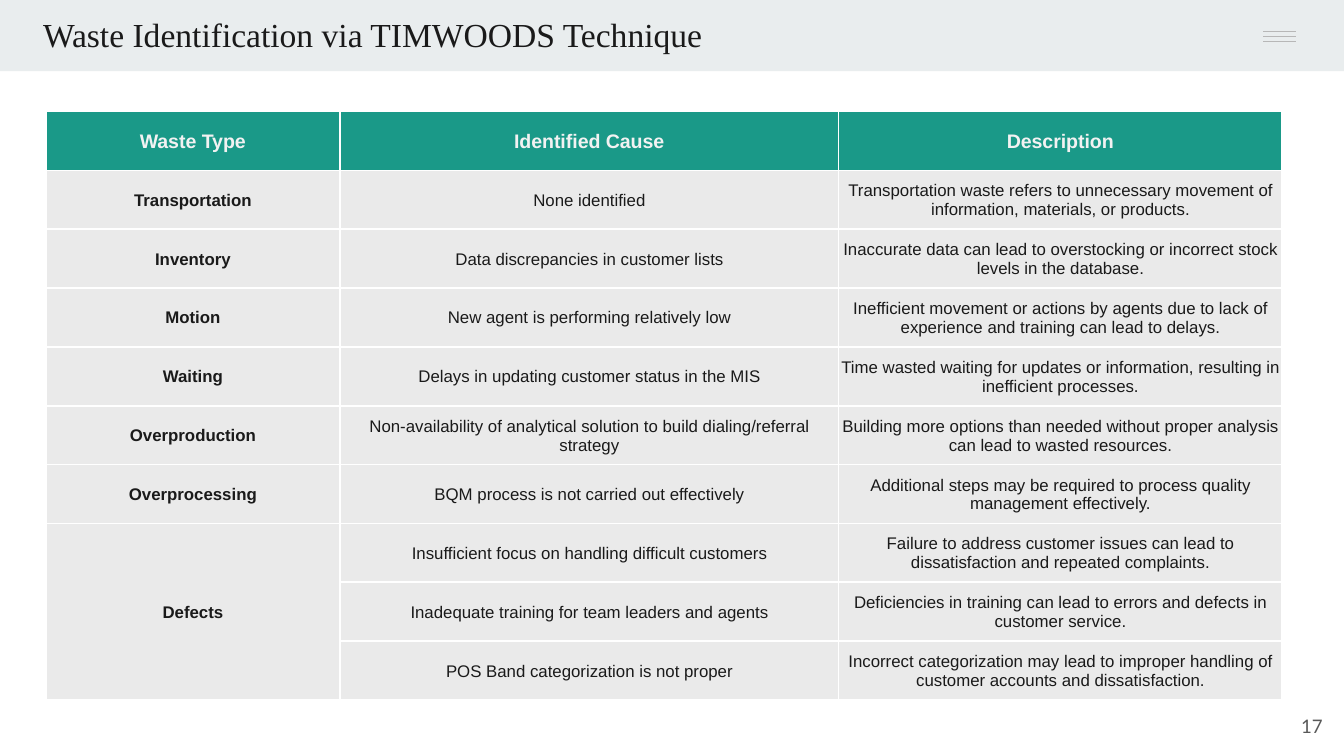
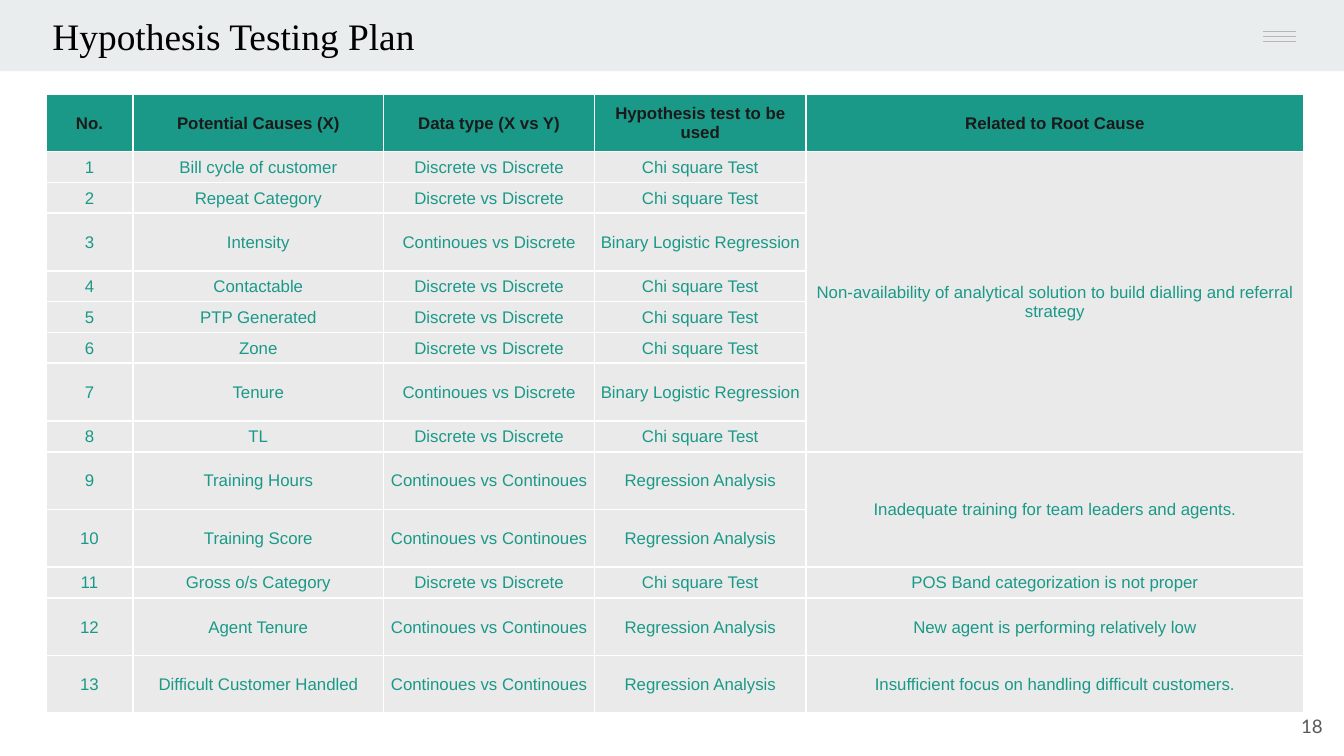
import dataclasses

import pptx
import pptx.dml.color
import pptx.enum.shapes
import pptx.enum.text
import pptx.oxml
import pptx.oxml.ns
import pptx.util
from lxml import etree

ALIGN = pptx.enum.text.PP_ALIGN
ANCHOR = pptx.enum.text.MSO_ANCHOR


@dataclasses.dataclass(frozen=True)
class Theme:
    teal: str = "1A9988"
    band: str = "E9EDEE"
    rule: str = "B7B7B7"
    cell: str = "EAEAEA"
    ink: str = "1A1A1A"
    black: str = "000000"
    pale: str = "F2F2F2"
    grey: str = "595959"
    white: str = "FFFFFF"
    serif: str = "Times New Roman"
    sans: str = "Arial"
    number: str = "Lato"
    small: float = 9
    page: float = 10
    head: float = 10.5


THEME = Theme()

# The grid: 100 columns by 56.25 rows of a tenth of an inch
COLS, ROWS = 100, 56.25


def unit(count):
    return pptx.util.Inches(count / 10)


def units(*counts):
    return [unit(count) for count in counts]


def color(code):
    return pptx.dml.color.RGBColor.from_string(code)


def write(frame, text, font, size, ink, bold=False, align=ALIGN.LEFT):
    para = frame.paragraphs[0]
    para.alignment = align
    run = para.add_run()
    run.text = text
    run.font.name = font
    run.font.size = pptx.util.Pt(size)
    run.font.bold = bold
    run.font.color.rgb = color(ink)


def setup(frame, anchor, left=1):
    frame.word_wrap = True
    frame.auto_size = pptx.enum.text.MSO_AUTO_SIZE.NONE
    frame.vertical_anchor = anchor
    frame.margin_left = unit(left)
    frame.margin_top = frame.margin_right = frame.margin_bottom = unit(1)


# Parts that every slide shares
def band(slide, width, height, left=0):
    shape = slide.shapes.add_shape(
        pptx.enum.shapes.MSO_SHAPE.RECTANGLE, *units(left, 0, width, height))
    shape.shadow.inherit = False
    shape.fill.solid()
    shape.fill.fore_color.rgb = color(THEME.band)
    shape.line.fill.background()


def rule(slide, left, right, top):
    line = slide.shapes.add_connector(
        pptx.enum.shapes.MSO_CONNECTOR.STRAIGHT, *units(left, top, right, top))
    line.line.color.rgb = color(THEME.rule)
    line.line.width = pptx.util.Pt(0.75)
    etree.SubElement(line.element.spPr, pptx.oxml.ns.qn("a:effectLst"))


def title(slide, text, size, ink, width, inset):
    box = slide.shapes.title
    box.left, box.top, box.width, box.height = units(2.2, 0, width, 5.3)
    setup(box.text_frame, ANCHOR.TOP, inset)
    write(box.text_frame, text, THEME.serif, size, ink)
    # Bring the title in front of the band
    box.element.getparent().append(box.element)


def page(slide, number):
    box = slide.shapes.add_textbox(*units(93.4, 51.9, 6, 4.3))
    setup(box.text_frame, ANCHOR.MIDDLE)
    write(box.text_frame, str(number), THEME.number, THEME.page, THEME.grey,
          align=ALIGN.RIGHT)


def start(deck, number, text, size, ink, width, inset=1):
    slide = deck.slides.add_slide(deck.slide_layouts[5])
    band(slide, COLS, 5.3)
    band(slide, 9.4, 5, left=90.6)
    for step in range(3):
        rule(slide, 94, 96.4, 2.35 + 0.37 * step)
    title(slide, text, size, ink, width, inset)
    page(slide, number)
    return slide


# Tables
def edge(cell):
    props = cell._tc.get_or_add_tcPr()
    for place, side in enumerate("LRTB"):
        props.insert(place, pptx.oxml.parse_xml(
            f'<a:ln{side} {pptx.oxml.ns.nsdecls("a")} w="12700"><a:solidFill>'
            f'<a:srgbClr val="{THEME.white}"/></a:solidFill></a:ln{side}>'))


def paint(cell, fill):
    cell.fill.solid()
    cell.fill.fore_color.rgb = color(fill)
    edge(cell)
    cell.vertical_anchor = ANCHOR.MIDDLE
    cell.margin_left = cell.margin_right = cell.margin_top = unit(0.1)
    cell.margin_bottom = 0


def share(parts, total, weights, side):
    for part, weight in zip(parts, weights):
        setattr(part, side, unit(total * weight / sum(weights)))


def table(slide, box, widths, heights, data, head, body, lead=False):
    """Each None in data joins its cell to the one above it.

    head and body are pairs of size and ink; lead makes column one bold.
    """
    grid = slide.shapes.add_table(len(data), len(widths), *units(*box)).table
    share(grid.columns, box[2], widths, "width")
    share(grid.rows, box[3], heights, "height")
    for row, texts in enumerate(data):
        size, ink = body if row else head
        for col, text in enumerate(texts):
            cell = grid.cell(row, col)
            paint(cell, THEME.cell if row else THEME.teal)
            if text is not None:
                bold = row == 0 or (lead and col == 0)
                write(cell.text_frame, text, THEME.sans, size, ink, bold,
                      ALIGN.CENTER)
    for col in range(len(widths)):
        first = 0
        for row in range(1, len(data) + 1):
            if row == len(data) or data[row][col] is not None:
                if row - first > 1:
                    grid.cell(first, col).merge(grid.cell(row - 1, col))
                first = row


WASTES = [
    ("Waste Type", "Identified Cause", "Description"),
    ("Transportation", "None identified",
     "Transportation waste refers to unnecessary movement of information, "
     "materials, or products."),
    ("Inventory", "Data discrepancies in customer lists",
     "Inaccurate data can lead to overstocking or incorrect stock levels in "
     "the database."),
    ("Motion", "New agent is performing relatively low",
     "Inefficient movement or actions by agents due to lack of experience and "
     "training can lead to delays."),
    ("Waiting", "Delays in updating customer status in the MIS",
     "Time wasted waiting for updates or information, resulting in "
     "inefficient processes."),
    ("Overproduction",
     "Non-availability of analytical solution to build dialing/referral "
     "strategy",
     "Building more options than needed without proper analysis can lead to "
     "wasted resources."),
    ("Overprocessing", "BQM process is not carried out effectively",
     "Additional steps may be required to process quality management "
     "effectively."),
    ("Defects", "Insufficient focus on handling difficult customers",
     "Failure to address customer issues can lead to dissatisfaction and "
     "repeated complaints."),
    (None, "Inadequate training for team leaders and agents",
     "Deficiencies in training can lead to errors and defects in customer "
     "service."),
    (None, "POS Band categorization is not proper",
     "Incorrect categorization may lead to improper handling of customer "
     "accounts and dissatisfaction."),
]

# The data type of a cause decides its test
BOTH, MIXED, SCALE = ("Discrete vs Discrete", "Continoues vs Discrete",
                      "Continoues vs Continoues")
TESTS = {BOTH: "Chi square Test", MIXED: "Binary Logistic Regression",
         SCALE: "Regression Analysis"}
CAUSES = [
    ("Bill cycle of customer", BOTH,
     "Non-availability of analytical solution to build dialling and referral "
     "strategy"),
    ("Repeat Category", BOTH, None),
    ("Intensity", MIXED, None),
    ("Contactable", BOTH, None),
    ("PTP Generated", BOTH, None),
    ("Zone", BOTH, None),
    ("Tenure", MIXED, None),
    ("TL", BOTH, None),
    ("Training Hours", SCALE,
     "Inadequate training for team leaders and agents."),
    ("Training Score", SCALE, None),
    ("Gross o/s Category", BOTH, "POS Band categorization is not proper"),
    ("Agent Tenure", SCALE, "New agent is performing relatively low"),
    ("Difficult Customer Handled", SCALE,
     "Insufficient focus on handling difficult customers."),
]


def waste(deck):
    slide = start(deck, 17, "Waste Identification via TIMWOODS Technique",
                  18, THEME.ink, 60.3)
    table(slide, (3.4, 8.3, 92, 43.8), (2.19, 3.71, 3.3), [1] * len(WASTES),
          WASTES, (THEME.head, THEME.pale), (THEME.small, THEME.ink),
          lead=True)


def plan(deck):
    slide = start(deck, 18, "Hypothesis Testing Plan", 20, THEME.black, 51.2,
                  inset=1.7)
    data = [("No.", "Potential Causes (X)", "Data type (X vs Y)",
             "Hypothesis test to be used", "Related to Root Cause")]
    heights = [0.43]
    for number, (cause, kind, root) in enumerate(CAUSES, 1):
        data.append((str(number), cause, kind, TESTS[kind], root))
        heights.append(0.23 if kind == BOTH else 0.43)
    table(slide, (3.4, 7, 93.6, 46.1), (0.65, 1.86, 1.57, 1.57, 3.7), heights,
          data, (THEME.small, THEME.ink), (THEME.small, THEME.teal))


def main():
    deck = pptx.Presentation()
    deck.slide_width, deck.slide_height = units(COLS, ROWS)
    waste(deck)
    plan(deck)
    deck.save("out.pptx")


if __name__ == "__main__":
    main()
